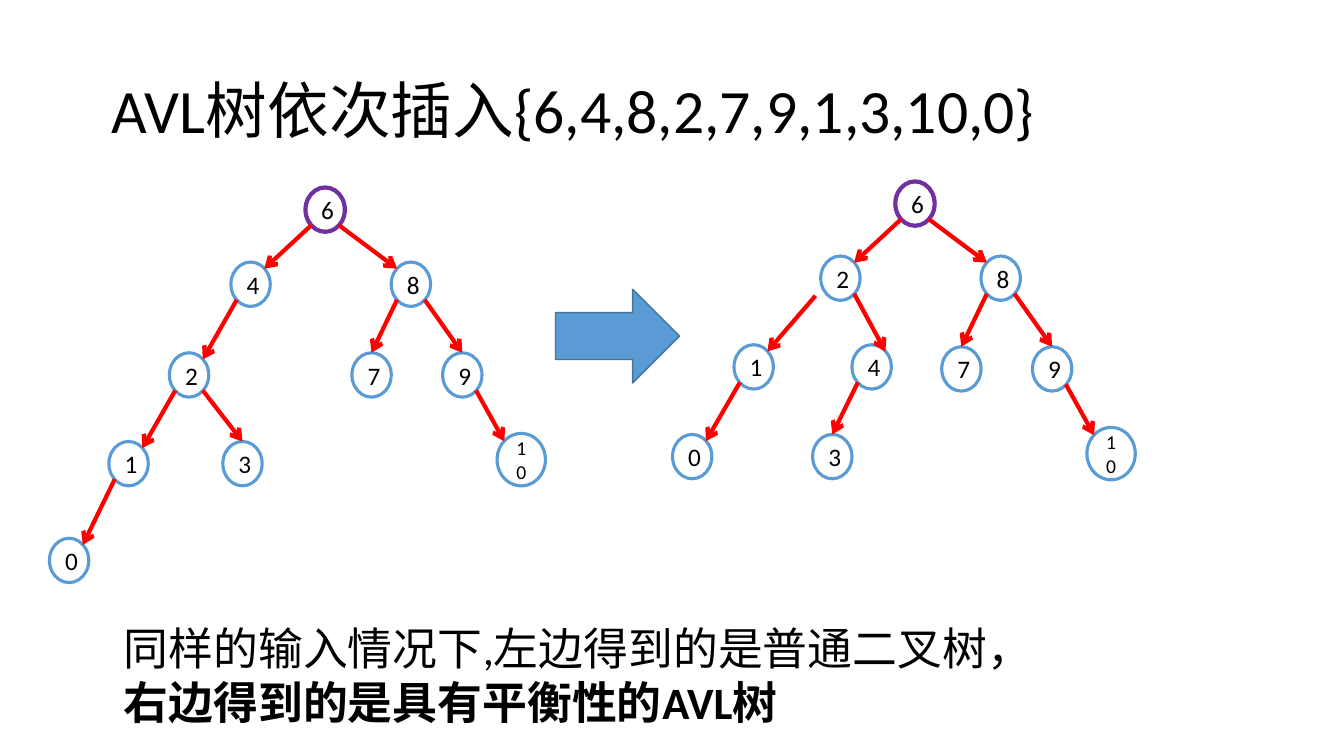
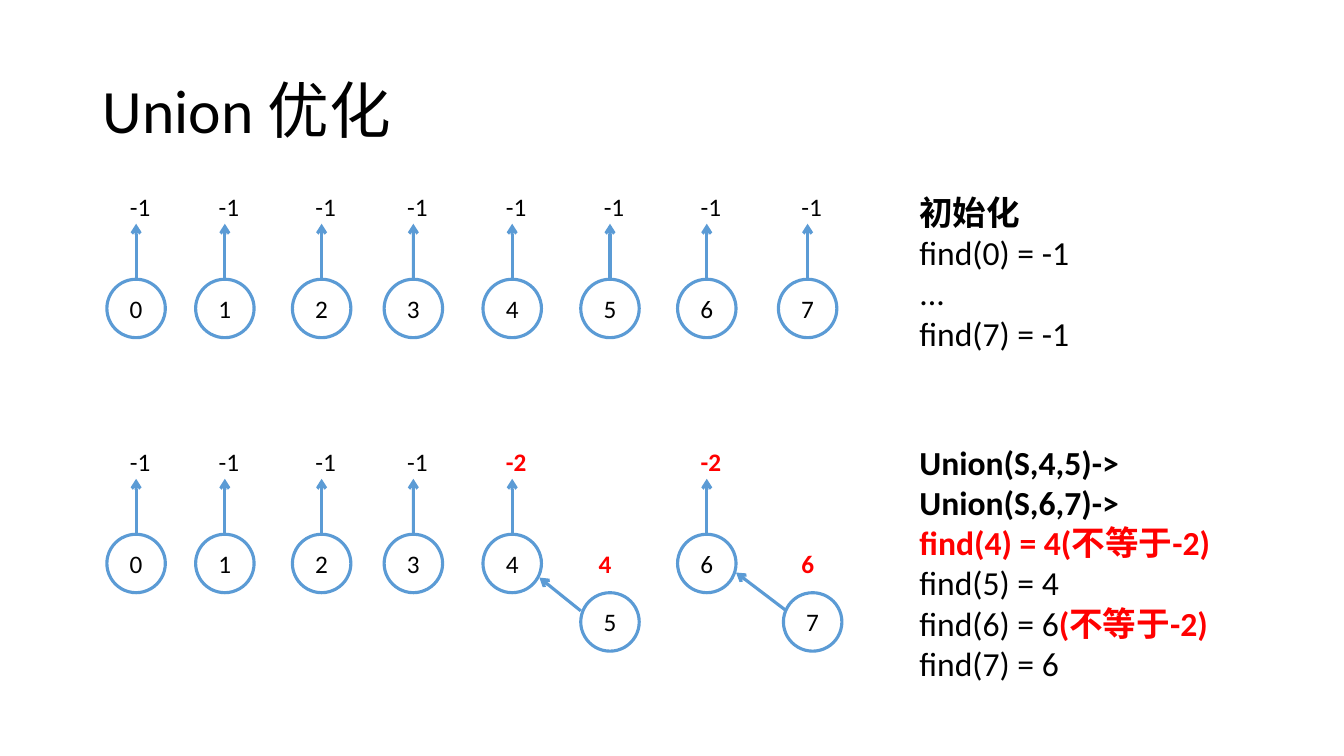
from dataclasses import dataclass

from lxml import etree
from pptx import Presentation
from pptx.dml.color import RGBColor
from pptx.enum.shapes import MSO_CONNECTOR, MSO_SHAPE
from pptx.enum.text import MSO_ANCHOR, MSO_AUTO_SIZE, PP_ALIGN
from pptx.oxml.ns import qn
from pptx.util import Inches, Length, Pt

STRAIGHT = MSO_CONNECTOR.STRAIGHT
OVAL = MSO_SHAPE.OVAL
RIGHT_ARROW = MSO_SHAPE.RIGHT_ARROW
MIDDLE = MSO_ANCHOR.MIDDLE
FIXED_SIZE = MSO_AUTO_SIZE.NONE
LEFT = PP_ALIGN.LEFT
CENTER = PP_ALIGN.CENTER

COLORS = {
    "paper": "FFFFFF",
    "text": "000000",
    "node": "5B9BD5",
    "root": "7030A0",
    "accent": "FF0000",
    "arrow_edge": "43739E",
}
FONT = "Calibri"
TITLE_ONLY = 5

Point = tuple[float, float]
Span = tuple[str, bool, str]  # text, bold, colour key


def cells(count: float) -> Length:
    """Length of grid columns or rows; ten of them make an inch."""
    return Inches(count / 10)


def rgb(key: str) -> RGBColor:
    return RGBColor.from_string(COLORS[key])


@dataclass(frozen=True)
class Node:
    label: str
    left: float
    top: float
    width: float = 3.9
    height: float = 4.4
    outline: str = "node"
    weight: float = 2.25
    size: int = 18

    def at(self, across: float, down: float) -> Point:
        """Point at the given shares of the node's width and height."""
        return self.left + across * self.width, self.top + down * self.height


@dataclass(frozen=True)
class Edge:
    parent: str
    child: str
    side: str  # side of the parent on which the child hangs
    to_top: bool = False
    start_shift: Point = (0, 0)


@dataclass(frozen=True)
class Tree:
    """Root position, offsets of the left branch from it, and its edges."""
    root: Point
    left_branch: dict[str, Point]
    left_edges: list[Edge]


@dataclass(frozen=True)
class Member:
    """A merged set element, with the ends of the arrow to its parent."""
    label: str
    parent: str
    left: float
    start: Point
    end: Point


# Diagonal points of an ellipse, as shares of its box
NEAR, FAR = 0.15, 0.85

RIGHT_BRANCH = {"8": (8.5, 7.4), "7": (4.6, 16.4), "9": (13.6, 16.4), "10": (19, 24.4)}
RIGHT_EDGES = [
    Edge("6", "8", "right"),
    Edge("8", "7", "left", to_top=True),
    Edge("8", "9", "right", to_top=True),
    Edge("9", "10", "right"),
]
PLAIN_TREE = Tree(
    (30.3, 18.6),
    {"4": (-7.4, 7.4), "2": (-13.5, 16.4), "1": (-19.5, 25.2),
     "3": (-8.2, 25.2), "0": (-25.4, 34.8)},
    [Edge("6", "4", "left"), Edge("4", "2", "left"), Edge("2", "1", "left"),
     Edge("1", "0", "left"), Edge("2", "3", "right", to_top=True)],
)
AVL_TREE = Tree(
    (88.8, 18),
    {"2": (-7.4, 7.4), "1": (-16, 16.2), "4": (-4.3, 16.2),
     "0": (-22.1, 25.1), "3": (-8.2, 25.1)},
    [Edge("6", "2", "left"), Edge("2", "4", "inner"),
     Edge("2", "1", "left", start_shift=(-1.1, 0.2)), Edge("1", "0", "left"),
     Edge("4", "3", "left", to_top=True)],
)

SET_COLUMNS = [10.6, 19.4, 29, 38.1, 47.9, 57.6, 67.2, 77.2]
SET_SIZE = 5.8
START_ROW, UNION_ROW = 27.7, 53
MEMBERS = [
    Member("5", "4", 57.6, (57.6, 60.6), (53.5, 57.3)),
    Member("7", "6", 77.7, (78, 60.6), (73, 56.8)),
]
ROOT_VALUES = {"4": "-2", "6": "-2"}


def add_title(slide, left: float, text: str) -> None:
    title = slide.shapes.title
    title.left, title.top = cells(left), cells(4)
    title.width, title.height = cells(115), cells(14.5)
    frame = title.text_frame
    frame.auto_size = FIXED_SIZE
    frame.vertical_anchor = MIDDLE
    frame.text = text
    paragraph = frame.paragraphs[0]
    paragraph.alignment = LEFT
    paragraph.line_spacing = 0.9
    style_font(paragraph.font, 44)


def style_font(font, size: int, bold: bool = False, color: str = "text") -> None:
    font.name = FONT
    font.size = Pt(size)
    font.bold = bold
    font.color.rgb = rgb(color)


def add_text(slide, left: float, top: float, width: float, height: float,
             lines: list[list[Span]], size: int) -> None:
    box = slide.shapes.add_textbox(cells(left), cells(top), cells(width), cells(height))
    frame = box.text_frame
    frame.word_wrap = True
    for index, spans in enumerate(lines):
        paragraph = frame.paragraphs[0] if index == 0 else frame.add_paragraph()
        for text, bold, color in spans:
            run = paragraph.add_run()
            run.text = text
            if len(spans) > 1:
                style_font(run.font, size, bold, color)
        if len(spans) == 1:
            style_font(paragraph.font, size, spans[0][1], spans[0][2])


def add_node(slide, node: Node):
    oval = slide.shapes.add_shape(OVAL, cells(node.left), cells(node.top),
                                  cells(node.width), cells(node.height))
    oval.shadow.inherit = False
    oval.fill.solid()
    oval.fill.fore_color.rgb = rgb("paper")
    oval.line.color.rgb = rgb(node.outline)
    oval.line.width = Pt(node.weight)
    frame = oval.text_frame
    frame.vertical_anchor = MIDDLE
    frame.text = node.label
    frame.paragraphs[0].alignment = CENTER
    style_font(frame.paragraphs[0].font, node.size)
    return oval


def add_arrow(slide, start: Point, end: Point, color: str, weight: float):
    arrow = slide.shapes.add_connector(STRAIGHT, *map(cells, start + end))
    arrow.line.color.rgb = rgb(color)
    arrow.line.width = Pt(weight)
    etree.SubElement(arrow.line._get_or_add_ln(), qn("a:tailEnd"), type="arrow")
    etree.SubElement(arrow._element.spPr, qn("a:effectLst"))
    return arrow


def add_tree(slide, tree: Tree) -> None:
    root_left, root_top = tree.root
    nodes = {"6": Node("6", root_left, root_top, outline="root", weight=3)}
    for label, (across, down) in (tree.left_branch | RIGHT_BRANCH).items():
        left, top = root_left + across, root_top + down
        if len(label) > 1:
            nodes[label] = Node(label, left, top, 4.8, 5.2, size=14)
        else:
            nodes[label] = Node(label, left, top)
    for node in nodes.values():
        add_node(slide, node)
    for edge in tree.left_edges + RIGHT_EDGES:
        x, y = nodes[edge.parent].at(NEAR if edge.side == "left" else FAR, FAR)
        shift_x, shift_y = edge.start_shift
        child = nodes[edge.child]
        if edge.to_top:
            end = child.at(0.5, 0)
        else:
            end = child.at(NEAR if edge.side == "right" else FAR, NEAR)
        add_arrow(slide, (x + shift_x, y + shift_y), end, "accent", 3)


def add_set_root(slide, label: str, left: float, top: float, value: str) -> None:
    """Draw a set's root with an arrow up to its stored value."""
    oval = add_node(slide, Node(label, left, top, SET_SIZE, SET_SIZE))
    center = left + SET_SIZE / 2
    arrow = add_arrow(slide, (center, top), (center, top - 5.5), "node", 2.25)
    arrow.begin_connect(oval, 0)
    merged = value != "-1"
    color = "accent" if merged else "text"
    add_text(slide, left + 1.3, top - 9.2, 5, 4, [[(value, merged, color)]], 18)


def add_member(slide, member: Member) -> None:
    top = UNION_ROW + SET_SIZE
    add_node(slide, Node(member.label, member.left, top, SET_SIZE, SET_SIZE))
    add_arrow(slide, member.start, member.end, "node", 2.25)
    add_text(slide, member.left + 0.8, top - 4.9, 5, 4,
             [[(member.parent, True, "accent")]], 18)


def build_avl_slide(slide) -> None:
    add_title(slide, 10.1, "AVL树依次插入{6,4,8,2,7,9,1,3,10,0}")
    add_tree(slide, PLAIN_TREE)
    add_tree(slide, AVL_TREE)
    step = slide.shapes.add_shape(RIGHT_ARROW, cells(55.1), cells(28.7),
                                  cells(12.3), cells(9.3))
    step.shadow.inherit = False
    step.fill.solid()
    step.fill.fore_color.rgb = rgb("node")
    step.line.color.rgb = rgb("arrow_edge")
    step.line.width = Pt(1)
    add_text(slide, 11.3, 61.1, 97.2, 11.8, [
        [("同样的输入情况下,左边得到的是普通二叉树，", False, "text")],
        [("右边得到的是具有平衡性的AVL树", True, "text")],
    ], 32)


def build_union_slide(slide) -> None:
    add_title(slide, 9.2, "Union 优化")
    merged = {member.label for member in MEMBERS}
    for index, left in enumerate(SET_COLUMNS):
        label = str(index)
        add_set_root(slide, label, left, START_ROW, "-1")
        if label not in merged:
            add_set_root(slide, label, left, UNION_ROW, ROOT_VALUES.get(label, "-1"))
    for member in MEMBERS:
        add_member(slide, member)
    add_text(slide, 90.2, 18.5, 21.2, 17.2, [
        [("初始化", True, "text")],
        [("find(0) = -1", False, "text")],
        [("...", False, "text")],
        [("find(7) = -1", False, "text")],
    ], 24)
    add_text(slide, 90.2, 43.3, 36.9, 25.2, [
        [("Union(S,4,5)->", True, "text")],
        [("Union(S,6,7)->", True, "text")],
        [("find(4) = 4(不等于-2)", True, "accent")],
        [("find(5) = 4", False, "text")],
        [("find(6) = 6", False, "text"), ("(不等于-2)", True, "accent")],
        [("find(7) = 6", False, "text")],
    ], 24)


def main() -> None:
    deck = Presentation()
    deck.slide_width, deck.slide_height = Inches(13.33), Inches(7.5)
    for build in (build_avl_slide, build_union_slide):
        build(deck.slides.add_slide(deck.slide_layouts[TITLE_ONLY]))
    deck.save("out.pptx")


if __name__ == "__main__":
    main()
